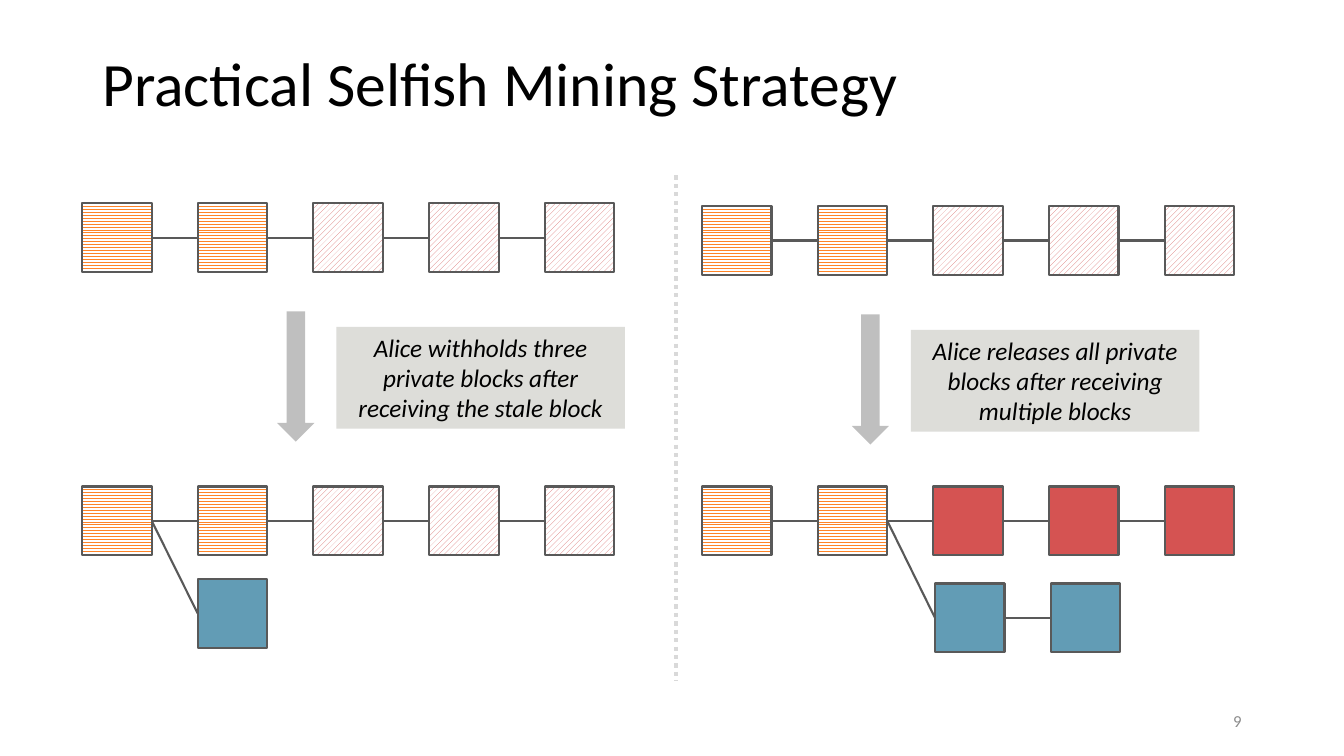
from lxml import etree
from pptx import Presentation
from pptx.dml.color import RGBColor
from pptx.enum.dml import MSO_LINE, MSO_PATTERN
from pptx.enum.shapes import MSO_CONNECTOR, MSO_SHAPE
from pptx.enum.text import MSO_ANCHOR, PP_ALIGN
from pptx.oxml.ns import qn
from pptx.util import Pt

RECTANGLE, ARROW = MSO_SHAPE.RECTANGLE, MSO_SHAPE.RIGHT_ARROW
STRAIGHT, DOTTED = MSO_CONNECTOR.STRAIGHT, MSO_LINE.ROUND_DOT
LEFT, CENTER, RIGHT = PP_ALIGN.LEFT, PP_ALIGN.CENTER, PP_ALIGN.RIGHT
TOP, MIDDLE = MSO_ANCHOR.TOP, MSO_ANCHOR.MIDDLE

# Block fills: a solid colour, or a pattern with its foreground
PUBLIC = (MSO_PATTERN.ZIG_ZAG, "FF8427")
PRIVATE = (MSO_PATTERN.WIDE_UPWARD_DIAGONAL, "D96F6E")
RELEASED, STALE = "D55352", "629CB5"


def color(hex_string):
    return RGBColor.from_string(hex_string)


def set_all(target, values):
    for name, value in values.items():
        setattr(target, name, value)


class MiningSlide:
    """Style of the diagram and the slide it is drawn on."""
    font_name = "Calibri"
    ink = "595959"
    block_width, block_height = 49, 49.7  # before the quarter turn
    pitch = 82.6

    def __init__(self, slide):
        self.slide = slide

    def label(self, shape, text, size, hex_color="000000", align=LEFT,
              anchor=MIDDLE, italic=None, line_spacing=None):
        set_all(shape.text_frame, {"word_wrap": True, "vertical_anchor": anchor})
        paragraph = shape.text_frame.paragraphs[0]
        set_all(paragraph, {"text": text, "alignment": align,
                            "line_spacing": line_spacing})
        set_all(paragraph.font, {"name": self.font_name, "size": Pt(size),
                                 "italic": italic})
        paragraph.font.color.rgb = color(hex_color)

    def text(self, left, top, width, height, text, size, **style):
        box = self.slide.shapes.add_textbox(Pt(left), Pt(top), Pt(width), Pt(height))
        self.label(box, text, size, **style)

    def shape(self, kind, center_x, center_y, width, height, fill,
              rotation=0, outlined=False):
        shape = self.slide.shapes.add_shape(
            kind, Pt(center_x - width / 2), Pt(center_y - height / 2),
            Pt(width), Pt(height))
        shape.shadow.inherit = False
        shape.rotation = rotation
        if isinstance(fill, tuple):
            shape.fill.patterned()
            shape.fill.pattern = fill[0]
            shape.fill.fore_color.rgb = color(fill[1])
            shape.fill.back_color.rgb = color("FFFFFF")
        else:
            shape.fill.solid()
            shape.fill.fore_color.rgb = color(fill)
        if outlined:
            shape.line.color.rgb = color(self.ink)
            shape.line.width = Pt(1.5)
        else:
            shape.line.fill.background()
        return shape

    def line(self, x1, y1, x2, y2, hex_color=ink, width=1.5, dash=None):
        line = self.slide.shapes.add_connector(
            STRAIGHT, Pt(x1), Pt(y1), Pt(x2), Pt(y2))
        line.line.color.rgb = color(hex_color)
        set_all(line.line, {"width": Pt(width), "dash_style": dash})
        etree.SubElement(line._element.spPr, qn("a:effectLst"))

    def chain(self, first_x, y, fills):
        """Blocks at equal steps, each linked to the one before."""
        half = self.block_height / 2
        for index, fill in enumerate(fills):
            x = first_x + index * self.pitch
            if index:
                self.line(x - self.pitch + half, y, x - half, y)
            self.shape(RECTANGLE, x, y, self.block_width, self.block_height,
                       fill, rotation=270, outlined=True)

    def fork(self, parent_x, parent_y, first_x, y, count):
        """Stale blocks that branch off from a parent block."""
        half = self.block_height / 2
        self.line(parent_x + half, parent_y, first_x - half, y)
        self.chain(first_x, y, [STALE] * count)

    def step(self, arrow_x, center_y, caption):
        """Down arrow with a caption at its right."""
        arrow = self.shape(ARROW, arrow_x, center_y, 93, 26.6, "808080", rotation=90)
        fill_color = arrow._element.spPr.find(qn("a:solidFill"))[0]
        etree.SubElement(fill_color, qn("a:alpha"), val="50000")
        box = self.shape(RECTANGLE, arrow_x + 132, center_y + 1, 206, 72.7, "DDDDD9")
        self.label(box, caption, 18, align=CENTER, anchor=TOP, italic=True)


def main():
    presentation = Presentation()
    set_all(presentation, {"slide_width": Pt(960), "slide_height": Pt(540)})
    blank = presentation.slide_layouts[6]
    mining = MiningSlide(presentation.slides.add_slide(blank))

    # Title, page number and divider
    mining.text(66, 28.8, 828, 66, "Practical Selfish Mining Strategy", 44,
                line_spacing=0.9)
    mining.text(678, 500.5, 216, 28.8, "9", 12, hex_color="8C8C8C", align=RIGHT)
    mining.line(483, 125.3, 483, 486.7, "D9D9D9", 3, DOTTED)

    left_x, right_x, result_y = 83.5, 526.3, 372
    hidden = [PUBLIC] * 2 + [PRIVATE] * 3

    # Left: Alice withholds her blocks
    mining.chain(left_x, 169.7, hidden)
    mining.step(211.3, 268.9,
                "Alice withholds three private blocks after receiving the stale block")
    mining.fork(left_x, result_y, left_x + mining.pitch, 438.2, 1)
    mining.chain(left_x, result_y, hidden)

    # Right: Alice releases her blocks
    mining.chain(right_x, 171.8, hidden)
    mining.step(621.7, 271,
                "Alice releases all private blocks after receiving multiple blocks")
    mining.chain(right_x, result_y, [PUBLIC] * 2 + [RELEASED] * 3)
    mining.fork(right_x + mining.pitch, result_y, 692.7, 441.3, 2)

    presentation.save("out.pptx")


if __name__ == "__main__":
    main()
